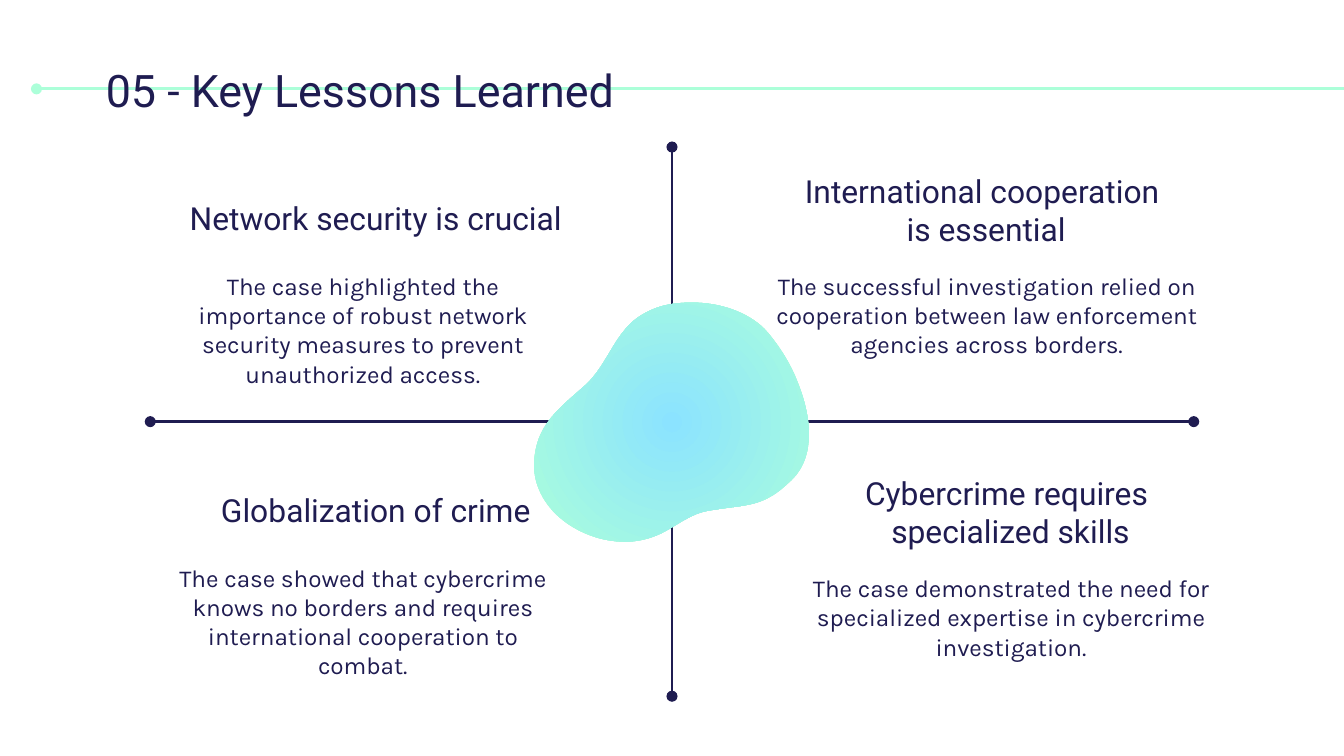
from dataclasses import dataclass

from pptx import Presentation
from pptx.dml.color import RGBColor
from pptx.enum.shapes import MSO_CONNECTOR as Connector
from pptx.enum.text import MSO_ANCHOR as Anchor, MSO_AUTO_SIZE as AutoSize, PP_ALIGN as Align
from pptx.oxml.ns import qn
from pptx.oxml.xmlchemy import OxmlElement as make_element
from pptx.util import Cm, Pt


@dataclass(frozen=True)
class TextStyle:
    font: str
    size: int
    align: Align


@dataclass(frozen=True)
class Theme:
    navy: RGBColor = RGBColor(0x1F, 0x1C, 0x51)
    mint: RGBColor = RGBColor(0xAC, 0xFF, 0xD9)
    sky: RGBColor = RGBColor(0x8B, 0xE3, 0xFF)
    line_width: float = 1.5
    title: TextStyle = TextStyle("Roboto", 24, Align.LEFT)
    heading: TextStyle = TextStyle("Roboto", 17, Align.CENTER)
    body: TextStyle = TextStyle("Karla", 13, Align.CENTER)


@dataclass(frozen=True)
class Column:
    heading_size: tuple
    body_size: tuple
    body_offset: tuple


THEME = Theme()
COMPARISON_LAYOUT = 3 + 1
CENTER_X, CENTER_Y = 12.7, 7.97
HALF_WIDTH, HALF_HEIGHT = 9.86, 5.19

LEFT = Column((8.53, 1.12), (8.03, 2.77), (0, 1.37))
RIGHT = Column((10.16, 1.73), (9.09, 2.77), (0.54, 1.88))

LESSONS = [
    (LEFT, 2.84, 3.51, ["Network security is crucial"],
     "The case highlighted the importance of robust network security measures "
     "to prevent unauthorized access."),
    (RIGHT, 13.56, 3, ["International cooperation ", "is essential"],
     "The successful investigation relied on cooperation between law enforcement "
     "agencies across borders."),
    (LEFT, 2.84, 9.02, ["Globalization of crime"],
     "The case showed that cybercrime knows no borders and requires "
     "international cooperation to combat."),
    (RIGHT, 14.02, 8.71, ["Cybercrime requires ", "specialized skills"],
     "The case demonstrated the need for specialized expertise in cybercrime "
     "investigation."),
]

BLOB_UNIT = Cm(0.01)
BLOB_START = (1308, 572)
BLOB_CURVES = [
    [(1275, 572), (1245, 577), (1219, 592)],
    [(1161, 622), (1151, 691), (1102, 732)],
    [(1059, 770), (1019, 800), (1011, 859)],
    [(996, 955), (1092, 1024), (1181, 1024)],
    [(1204, 1024), (1227, 1019), (1250, 1008)],
    [(1280, 993), (1306, 970), (1341, 965)],
    [(1412, 953), (1440, 960), (1491, 912)],
    [(1544, 866), (1534, 787), (1506, 719)],
    [(1491, 681), (1466, 645), (1445, 622)],
    [(1412, 589), (1359, 572), BLOB_START],
]


def add_line(page, start, end, color, oval_ends):
    line = page.shapes.add_connector(
        Connector.STRAIGHT, *(Cm(value) for value in (*start, *end)))
    line.line.color.rgb = color
    line.line.width = Pt(THEME.line_width)
    outline = line.line._get_or_add_ln()
    for end_name in oval_ends:
        tip = make_element(end_name)
        tip.set("type", "oval")
        outline.append(tip)
    line.element.spPr.append(make_element("a:effectLst"))


def bend_segments(shape):
    segments = list(shape.element.iter(qn("a:lnTo")))
    for first in range(0, len(segments), 3):
        group = segments[first:first + 3]
        curve = make_element("a:cubicBezTo")
        group[0].addprevious(curve)
        for segment in group:
            curve.extend(list(segment))
            segment.getparent().remove(segment)


def fill_radially(shape, inner, outer):
    shape.fill.gradient()
    for stop, color in zip(shape.fill.gradient_stops, (inner, outer)):
        stop.color.rgb = color
    circle = make_element("a:path")
    circle.set("path", "circle")
    focus = make_element("a:fillToRect")
    for side in "ltrb":
        focus.set(side, "50000")
    circle.append(focus)
    linear = next(shape.element.iter(qn("a:lin")))
    linear.getparent().replace(linear, circle)


def add_blob(page):
    builder = page.shapes.build_freeform(*BLOB_START, scale=BLOB_UNIT)
    builder.add_line_segments([point for curve in BLOB_CURVES for point in curve])
    blob = builder.convert_to_shape()
    bend_segments(blob)
    fill_radially(blob, THEME.sky, THEME.mint)
    blob.line.fill.background()
    blob.shadow.inherit = False


def write(box, lines, style):
    frame = box.text_frame
    frame.word_wrap = True
    frame.auto_size = AutoSize.NONE
    frame.vertical_anchor = Anchor.TOP
    frame.margin_left = frame.margin_right = Cm(0.25)
    frame.margin_top = frame.margin_bottom = Cm(0.25)
    for index, line in enumerate(lines):
        para = frame.add_paragraph() if index else frame.paragraphs[0]
        properties = para._p.get_or_add_pPr()
        properties.set("marL", "0")
        properties.set("indent", "0")
        properties.append(make_element("a:buNone"))
        para.alignment = style.align
        para.space_before = Pt(0)
        span = para.add_run()
        span.text = line
        span.font.name = style.font
        span.font.size = Pt(style.size)
        span.font.bold = False
        span.font.color.rgb = THEME.navy


def fill_placeholder(box, place, lines, style):
    box.left, box.top, box.width, box.height = (Cm(value) for value in place)
    box.element.getparent().append(box.element)
    write(box, lines, style)


def add_lesson(page, placeholder, column, left, top, heading, body):
    shift_x, shift_y = column.body_offset
    place = (left + shift_x, top + shift_y, *column.body_size)
    fill_placeholder(placeholder, place, [body], THEME.body)
    box = page.shapes.add_textbox(
        *(Cm(value) for value in (left, top, *column.heading_size)))
    write(box, heading, THEME.heading)


def main():
    deck = Presentation()
    deck.slide_width, deck.slide_height = Cm(25.4), Cm(14.29)
    page = deck.slides.add_slide(deck.slide_layouts[COMPARISON_LAYOUT])
    title, *bodies = list(page.placeholders)

    both_ends = ("a:headEnd", "a:tailEnd")
    add_line(page, (0.69, 1.68), (25.4, 1.68), THEME.mint, both_ends[:1])
    add_line(page, (CENTER_X, CENTER_Y + HALF_HEIGHT),
             (CENTER_X, CENTER_Y - HALF_HEIGHT), THEME.navy, both_ends)
    add_line(page, (CENTER_X - HALF_WIDTH, CENTER_Y),
             (CENTER_X + HALF_WIDTH, CENTER_Y), THEME.navy, both_ends)
    add_blob(page)

    fill_placeholder(title, (1.75, 0.94, 16.89, 1.5),
                     ["05 - Key Lessons Learned"], THEME.title)
    for placeholder, lesson in zip(bodies, LESSONS):
        add_lesson(page, placeholder, *lesson)
    deck.save("out.pptx")


if __name__ == "__main__":
    main()
